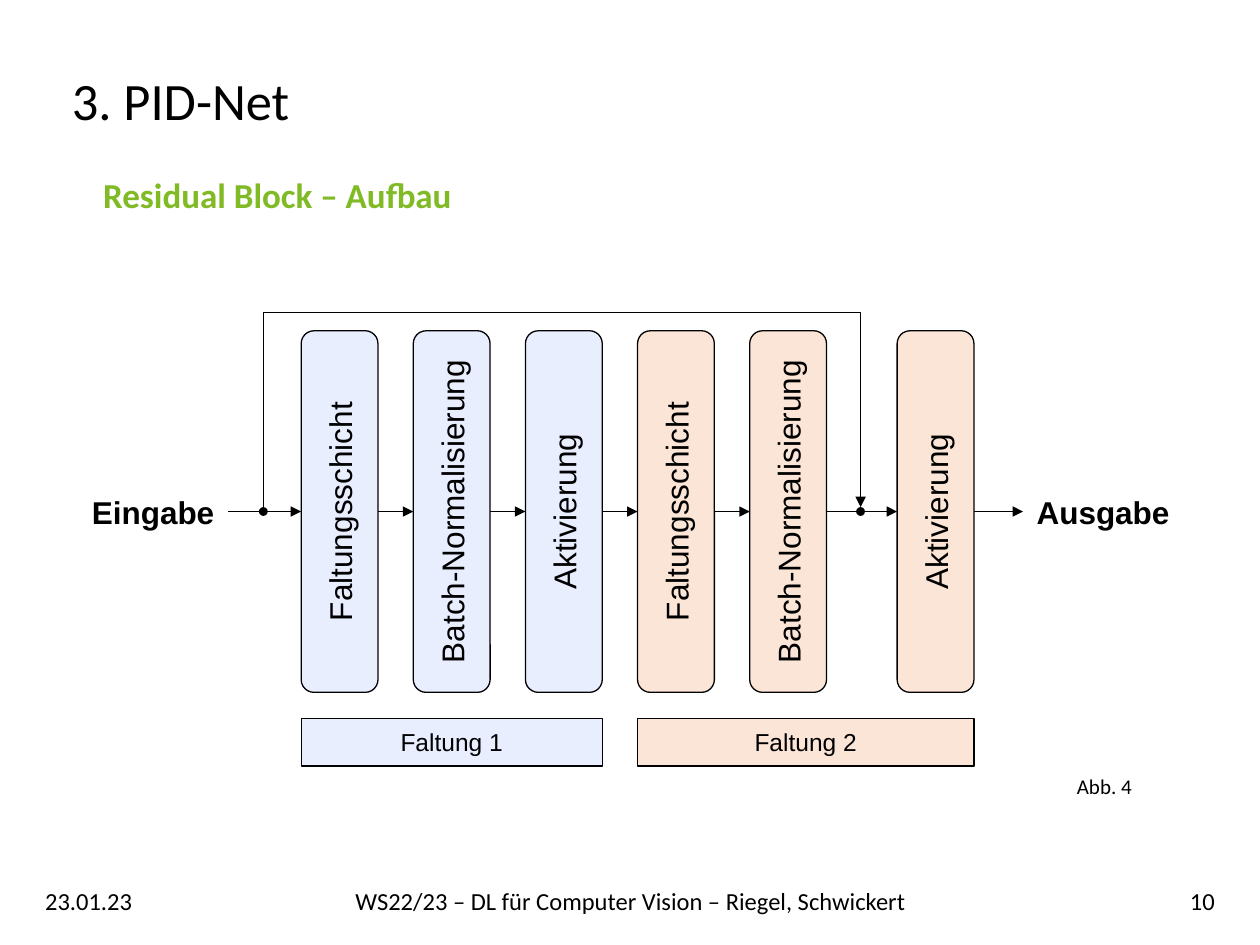
from dataclasses import dataclass
from lxml import etree
from pptx import Presentation
from pptx.dml.color import RGBColor
from pptx.enum.shapes import MSO_CONNECTOR, MSO_SHAPE
from pptx.enum.text import MSO_ANCHOR, PP_ALIGN
from pptx.oxml.ns import qn
from pptx.util import Inches, Pt

LEFT, MID, RIGHT = PP_ALIGN.LEFT, PP_ALIGN.CENTER, PP_ALIGN.RIGHT
TOP, CENTER = MSO_ANCHOR.TOP, MSO_ANCHOR.MIDDLE
RECT, ROUND, OVAL = MSO_SHAPE.RECTANGLE, MSO_SHAPE.ROUNDED_RECTANGLE, MSO_SHAPE.OVAL
STRAIGHT = MSO_CONNECTOR.STRAIGHT


@dataclass(frozen=True)
class Theme:
    ink: str = "000000"
    green: str = "80BA25"
    blue: str = "E9EEFF"
    peach: str = "FBE5D6"
    sans: str = "Arial"
    body: str = "Calibri"
    title: int = 30
    head: int = 20
    label: int = 18
    small: int = 14
    note: int = 12
    edge: float = 0.75
    wire: float = 0.5


T = Theme()
TITLE = "3. PID-Net"
NOTES = [
    ("23.01.23", (0.26, 6.95, 0.9, 0.4), T.small, LEFT, CENTER),
    ("WS22/23 – DL für Computer Vision – Riegel, Schwickert",
     (1.37, 6.95, 7.27, 0.4), T.small, MID, CENTER),
    ("10", (9.17, 6.95, 0.57, 0.4), T.small, RIGHT, CENTER),
    ("Abb. 4", (8.35, 6.09, 0.83, 0.28), T.note, MID, TOP),
]
HEAD = "Residual Block – Aufbau"
ENDS = [("Eingabe", 0.62, 1.19), ("Ausgabe", 8.12, 1.27)]
GROUPS = [
    ("Faltung 1", T.blue, [0, 1, 2]),
    ("Faltung 2", T.peach, [3, 4, 5]),
]
LAYERS = ["Faltungsschicht", "Batch-Normalisierung", "Aktivierung"]

START, PITCH, WIDE, TALL = 2.39, 0.89, 0.61, 2.87
AXIS, SKIP = 4.06, 0.28
BAND, BAND_H = 5.7, 0.38
LOOP_X, LOOP_Y, DOT = (2.09, 6.83), 2.48, 0.07


def color(code):
    return RGBColor.from_string(code)


def write(shape, text, size, font=T.body, ink=T.ink, bold=False,
          align=MID, anchor=CENTER, inset=None):
    frame = shape.text_frame
    frame.text = text
    frame.word_wrap = True
    frame.vertical_anchor = anchor
    if inset is not None:
        frame.margin_left = frame.margin_right = Inches(inset)
        frame.margin_top = frame.margin_bottom = Inches(inset)
    para = frame.paragraphs[0]
    para.alignment = align
    for run in para.runs:
        run.font.size, run.font.name, run.font.bold = Pt(size), font, bold
        run.font.color.rgb = color(ink)


def label(slide, box, text, size, **style):
    write(slide.shapes.add_textbox(*map(Inches, box)), text, size, **style)


def block(slide, kind, box, fill, line=True):
    shape = slide.shapes.add_shape(kind, *map(Inches, box))
    shape.shadow.inherit = False
    shape.fill.solid()
    shape.fill.fore_color.rgb = color(fill)
    if line:
        shape.line.color.rgb = color(T.ink)
        shape.line.width = Pt(T.edge)
    else:
        shape.line.fill.background()
    return shape


def arrow(shape):
    shape.line.color.rgb = color(T.ink)
    shape.line.width = Pt(T.wire)
    tail = etree.SubElement(shape.line._get_or_add_ln(), qn("a:tailEnd"))
    tail.set("type", "triangle")


def wire(slide, left, right):
    link = slide.shapes.add_connector(
        STRAIGHT, Inches(left), Inches(AXIS), Inches(right), Inches(AXIS))
    arrow(link)
    etree.SubElement(link._element.spPr, qn("a:effectLst"))


def loop(slide):
    left, right = LOOP_X
    pen = slide.shapes.build_freeform(Inches(left), Inches(AXIS))
    points = [(left, LOOP_Y), (right, LOOP_Y), (right, AXIS - DOT / 2)]
    pen.add_line_segments([(Inches(x), Inches(y)) for x, y in points], close=False)
    shape = pen.convert_to_shape()
    shape.shadow.inherit = False
    shape.fill.background()
    arrow(shape)
    for x in LOOP_X:
        block(slide, OVAL, (x - DOT / 2, AXIS - DOT / 2, DOT, DOT), T.ink, False)


def diagram(slide):
    bars = [START + PITCH * i + (SKIP if i == 5 else 0) for i in range(6)]
    for name, fill, items in GROUPS:
        for item, text in zip(items, LAYERS):
            mid = bars[item] + WIDE / 2
            box = (mid - TALL / 2, AXIS - WIDE / 2, TALL, WIDE)
            bar = block(slide, ROUND, box, fill)
            bar.rotation = 270
            write(bar, text, T.label, T.sans, inset=0.04)
        left, right = bars[items[0]], bars[items[-1]] + WIDE
        band = block(slide, RECT, (left, BAND, right - left, BAND_H), fill)
        write(band, name, T.small, T.sans, inset=0)
    for text, left, width in ENDS:
        label(slide, (left, AXIS - 0.18, width, 0.37), text, T.label,
              font=T.sans, bold=True, inset=0)
    first, last = ENDS
    outs = [first[1] + first[2]] + [x + WIDE for x in bars]
    for left, right in zip(outs, bars + [last[1]]):
        wire(slide, left, right)
    loop(slide)


def main():
    deck = Presentation()
    deck.slide_width, deck.slide_height = Inches(10), Inches(7.5)
    slide = deck.slides.add_slide(deck.slide_layouts[5])
    title = slide.shapes.title
    title.left, title.top, title.width, title.height = map(
        Inches, (0.47, 0.4, 7.27, 0.85))
    write(title, TITLE, T.title, align=LEFT)
    title.text_frame.paragraphs[0].line_spacing = 0.9
    label(slide, (0.72, 1.33, 3.14, 0.44), HEAD, T.head, ink=T.green,
          bold=True, align=LEFT, anchor=TOP)
    for text, box, size, align, anchor in NOTES:
        label(slide, box, text, size, align=align, anchor=anchor)
    diagram(slide)
    deck.save("out.pptx")


if __name__ == "__main__":
    main()
